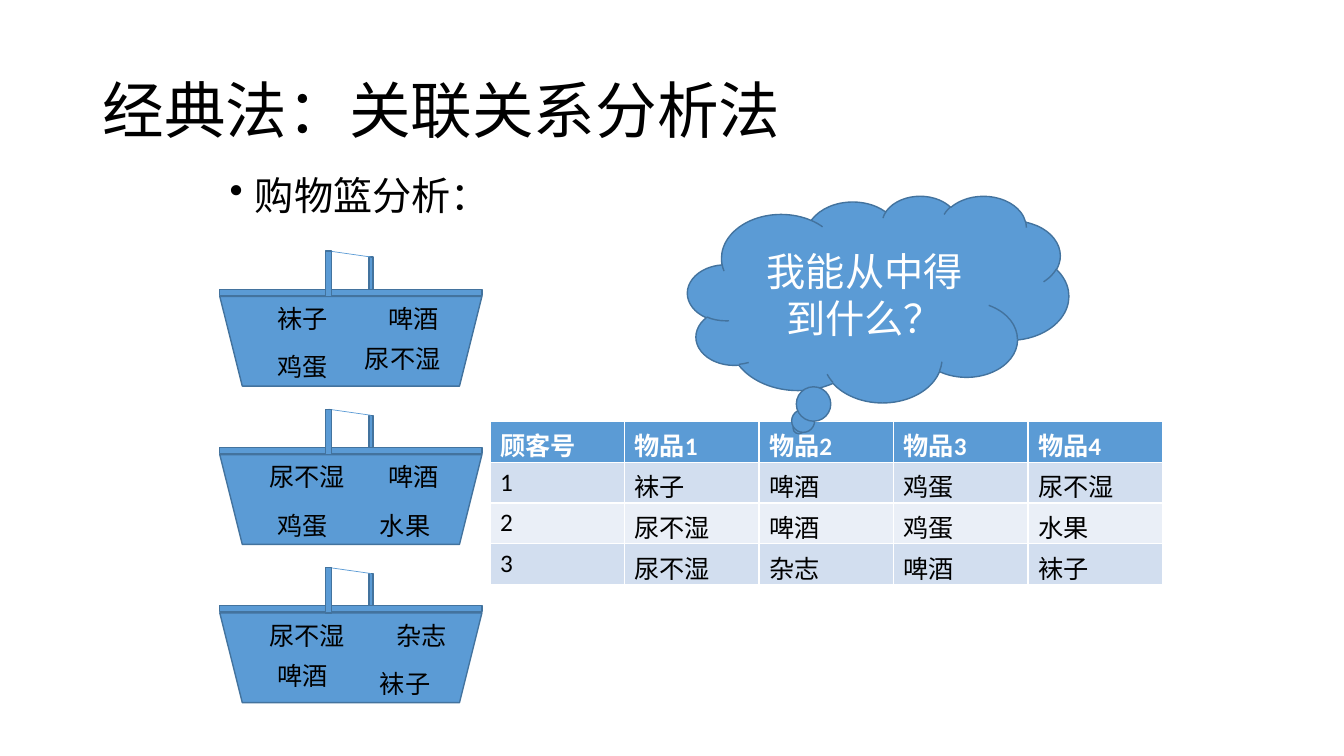
from lxml import etree
from pptx import Presentation
from pptx.dml.color import RGBColor
from pptx.enum.shapes import MSO_CONNECTOR, MSO_SHAPE
from pptx.enum.text import MSO_ANCHOR, PP_ALIGN
from pptx.oxml.ns import qn
from pptx.util import Inches, Pt

RECT = MSO_SHAPE.RECTANGLE
TRAP = MSO_SHAPE.TRAPEZOID
CLOUD = MSO_SHAPE.CLOUD_CALLOUT
LINE = MSO_CONNECTOR.STRAIGHT
TOP, MIDDLE = MSO_ANCHOR.TOP, MSO_ANCHOR.MIDDLE
CENTER = PP_ALIGN.CENTER

FONT = "Calibri"
COLORS = {
    "blue": "5B9BD5",
    "edge": "43739E",
    "odd": "D2DEEF",
    "even": "EAEFF7",
    "black": "000000",
    "white": "FFFFFF",
}

LEFT = 2.18
BASKETS = [
    [("尿不湿", 1.34, 0.87), ("啤酒", 1.57, 0.47), ("鸡蛋", 0.47, 0.95), ("袜子", 0.47, 0.47)],
    [("尿不湿", 0.39, 0.47), ("啤酒", 1.57, 0.47), ("鸡蛋", 0.47, 0.95), ("水果", 1.49, 0.95)],
    [("尿不湿", 0.39, 0.47), ("啤酒", 0.47, 0.87), ("杂志", 1.65, 0.47), ("袜子", 1.49, 0.95)],
]
ROWS = [
    ["顾客号", "物品1", "物品2", "物品3", "物品4"],
    ["1", "袜子", "啤酒", "鸡蛋", "尿不湿"],
    ["2", "尿不湿", "啤酒", "鸡蛋", "水果"],
    ["3", "尿不湿", "杂志", "啤酒", "袜子"],
]


def rgb(name):
    return RGBColor.from_string(COLORS[name])


def style(para, size, color="black", bold=False):
    font = para.font
    font.name, font.size, font.bold = FONT, Pt(size), bold
    font.color.rgb = rgb(color)


def add_text(shapes, text, box, size, anchor=TOP, wrap=True):
    frame = shapes.add_textbox(*map(Inches, box)).text_frame
    frame.word_wrap = wrap
    frame.vertical_anchor = anchor
    para = frame.paragraphs[0]
    para.text = text
    style(para, size)
    return para


def add_bullet(shapes, text, box):
    para = add_text(shapes, text, box, 28)
    para.line_spacing = 0.9
    props = para._p.get_or_add_pPr()
    props.set("marL", str(Inches(0.25)))
    props.set("indent", str(Inches(-0.25)))
    mark = etree.Element(qn("a:buChar"), char="•")
    props.find(qn("a:defRPr")).addprevious(mark)


def add_solid(shapes, kind, box):
    shape = shapes.add_shape(kind, *map(Inches, box))
    shape.shadow.inherit = False
    shape.fill.solid()
    shape.fill.fore_color.rgb = rgb("blue")
    shape.line.color.rgb = rgb("edge")
    shape.line.width = Pt(1)
    return shape


def add_line(shapes, ends):
    line = shapes.add_connector(LINE, *map(Inches, ends))
    line.line.color.rgb = rgb("blue")
    line.line.width = Pt(0.5)
    etree.SubElement(line._element.spPr, qn("a:effectLst"))


def add_basket(slide, top, goods):
    shapes = slide.shapes.add_group_shape().shapes
    add_solid(shapes, RECT, (LEFT + 1.48, top + 0.06, 0.04, 0.64))
    body = add_solid(shapes, TRAP, (LEFT, top + 0.45, 2.6, 0.89))
    body.rotation = 180
    add_line(shapes, (LEFT + 1.08, top, LEFT + 1.5, top + 0.06))
    add_solid(shapes, RECT, (LEFT, top + 0.38, 2.6, 0.06))
    add_solid(shapes, RECT, (LEFT + 1.05, top, 0.06, 0.45))
    for text, x, y in goods:
        box = (LEFT + x, top + y, 0.21 + 0.25 * len(text), 0.4)
        add_text(shapes, text, box, 18, wrap=False)


def add_grid(shapes, rows, box):
    table = shapes.add_table(len(rows), len(rows[0]), *map(Inches, box)).table
    for i, row in enumerate(rows):
        head = i == 0
        fill = "blue" if head else "odd" if i % 2 else "even"
        for j, text in enumerate(row):
            cell = table.cell(i, j)
            cell.fill.solid()
            cell.fill.fore_color.rgb = rgb(fill)
            para = cell.text_frame.paragraphs[0]
            para.text = text
            style(para, 18, "white" if head else "black", head)


def add_cloud(shapes, text, box):
    frame = add_solid(shapes, CLOUD, box).text_frame
    frame.word_wrap = True
    frame.vertical_anchor = MIDDLE
    para = frame.paragraphs[0]
    para.text = text
    para.alignment = CENTER
    style(para, 28, "white")


def main():
    deck = Presentation()
    deck.slide_width, deck.slide_height = Inches(13.33), Inches(7.5)
    slide = deck.slides.add_slide(deck.slide_layouts[6])
    shapes = slide.shapes
    title = add_text(shapes, "经典法：关联关系分析法", (0.92, 0.4, 11.5, 1.45), 44, MIDDLE)
    title.line_spacing = 0.9
    add_bullet(shapes, "购物篮分析：", (LEFT, 1.7, 9, 5.13))
    for i, goods in enumerate(BASKETS):
        add_basket(slide, 2.49 + 1.57 * i, goods)
    add_grid(shapes, ROWS, (4.86, 4.18, 6.67, 1.62))
    add_cloud(shapes, "我能从中得到什么？", (6.82, 1.94, 3.78, 2.05))
    deck.save("out.pptx")


if __name__ == "__main__":
    main()
